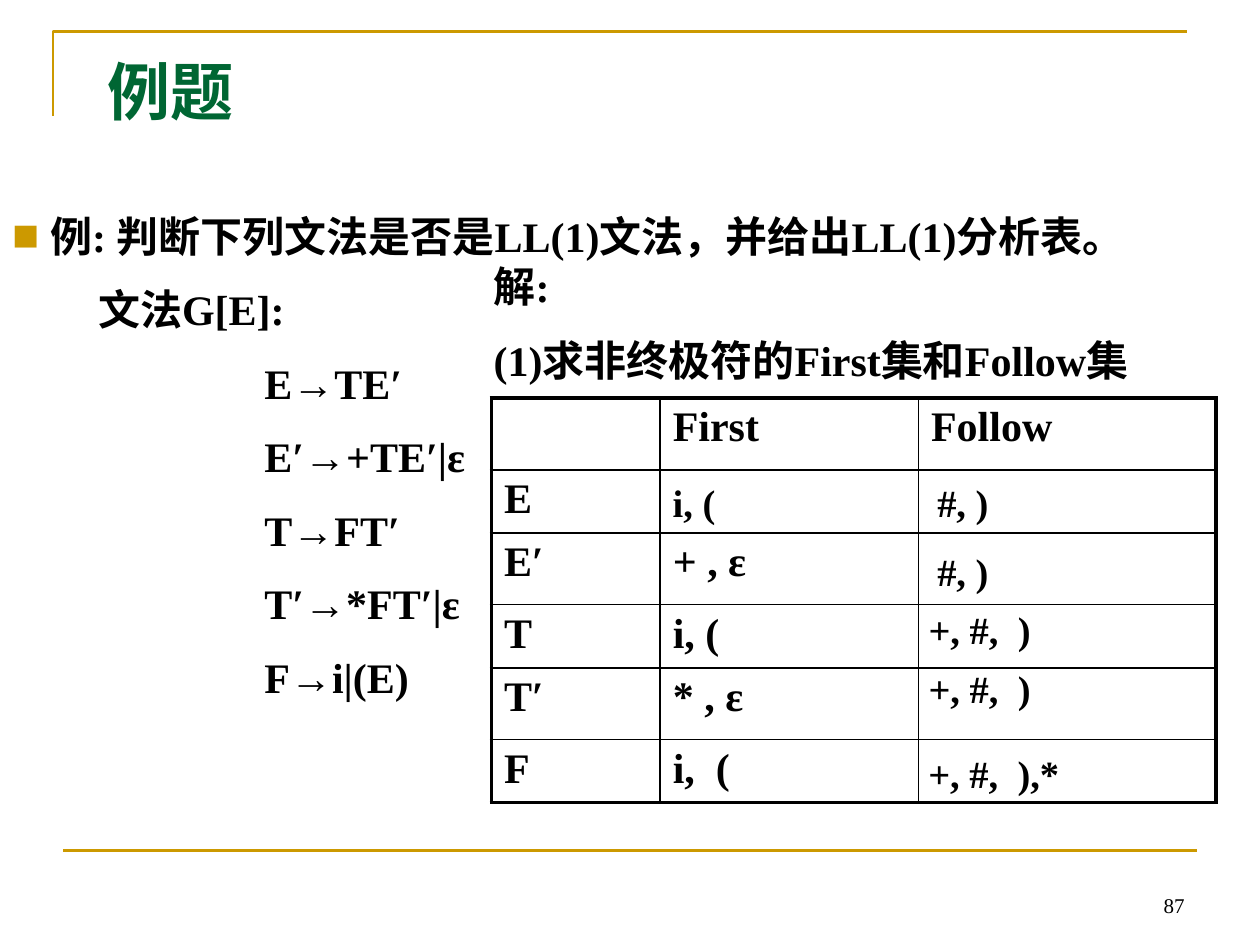
import pptx
import pptx.util
import pptx.dml.color
import pptx.enum.shapes
import pptx.enum.text
import pptx.oxml.ns
import lxml.etree

COLUMNS, ROWS = 100, 75
SLIDE_WIDTH, SLIDE_HEIGHT = pptx.util.Inches(10), pptx.util.Inches(7.5)
SERIF, HAN = "Times New Roman", "Noto Sans CJK SC"
GOLD, GREEN, BLACK = "CC9900", "006633", "000000"
NO_GRID_STYLE = "{2D5ABB26-0587-4C30-8999-92F81FD0307C}"
PARAGRAPH_GAP = 13.2
ANCHOR = pptx.enum.text.MSO_ANCHOR
ALIGN = pptx.enum.text.PP_ALIGN


def across(columns):
    """Turn grid columns into a length."""
    return round(SLIDE_WIDTH * columns / COLUMNS)


def down(rows):
    """Turn grid rows into a length."""
    return round(SLIDE_HEIGHT * rows / ROWS)


def measure(box):
    """Turn a box in grid units into left, top, width and height."""
    left, top, width, height = box
    return across(left), down(top), across(width), down(height)


def colour(value):
    """Make a colour from a hex string."""
    return pptx.dml.color.RGBColor.from_string(value)


def child(parent, tag, **attributes):
    """Append a drawing element to a parent."""
    element = lxml.etree.SubElement(parent, pptx.oxml.ns.qn(tag))
    for key, value in attributes.items():
        element.set(key, str(value))
    return element


def write(paragraph, text, size=24, shade=BLACK, bold=True, latin=SERIF):
    """Add one formatted run to a paragraph."""
    run = paragraph.add_run()
    run.text = text
    run.font.size = pptx.util.Pt(size)
    run.font.bold = bold
    run.font.color.rgb = colour(shade)
    run.font.name = latin
    child(run.font._element, "a:ea", typeface=HAN)


def add_text(slide, box, lines, size=24, bold=True, wrap=True, align=ALIGN.LEFT, anchor=ANCHOR.TOP):
    """Place a text box with one paragraph for each line and return its paragraphs."""
    frame = slide.shapes.add_textbox(*measure(box)).text_frame
    frame.word_wrap = wrap
    frame.vertical_anchor = anchor
    for index, line in enumerate(lines):
        paragraph = frame.add_paragraph() if index else frame.paragraphs[0]
        paragraph.alignment = align
        if index:
            paragraph.space_before = pptx.util.Pt(PARAGRAPH_GAP)
        write(paragraph, line, size, bold=bold)
    return frame.paragraphs


def border(cell, widths):
    """Draw the left, right, top and bottom edges of a cell."""
    properties = cell._tc.get_or_add_tcPr()
    for side, width in zip("LRTB", widths):
        edge = child(properties, f"a:ln{side}", w=int(pptx.util.Pt(width)))
        child(child(edge, "a:solidFill"), "a:srgbClr", val=BLACK)


def add_grid(slide, left, top, widths, heights, texts, size=24, ruled=False):
    """Place a plain table, with a heavy outline and thin inner rules if ruled."""
    box = measure((left, top, sum(widths), sum(heights)))
    table = slide.shapes.add_table(len(heights), len(widths), *box).table
    table.first_row = table.horz_banding = False
    table._tbl.tblPr.find(pptx.oxml.ns.qn("a:tableStyleId")).text = NO_GRID_STYLE
    for column, width in zip(table.columns, widths):
        column.width = across(width)
    for row, height in zip(table.rows, heights):
        row.height = down(height)
    last_row, last_column = len(heights) - 1, len(widths) - 1
    for r, row_texts in enumerate(texts):
        for c, text in enumerate(row_texts):
            cell = table.cell(r, c)
            if ruled:
                outer = (c == 0, c == last_column, r == 0, r == last_row)
                border(cell, [2.25 if edge else 1 for edge in outer])
            cell.fill.background()
            if text:
                write(cell.text_frame.paragraphs[0], text, size)


def draw_frame(slide, box):
    """Draw the gold corner above and the gold rule below."""
    left, top, width, height = box
    right = left + width
    outline = slide.shapes.build_freeform(across(left), down(top + 6.7))
    outline.add_line_segments(
        [(across(left), down(top)), (across(right), down(top))], close=False)
    corner = outline.convert_to_shape()
    corner.fill.background()
    corner.shadow.inherit = False
    rule = slide.shapes.add_connector(
        pptx.enum.shapes.MSO_CONNECTOR.STRAIGHT,
        across(left + 0.8), down(top + height), across(right + 0.8), down(top + height))
    for stroke in (corner, rule):
        stroke.line.color.rgb = colour(GOLD)
        stroke.line.width = pptx.util.Pt(1.5)
    child(rule._element.spPr, "a:effectLst")


def place_title(slide, box):
    """Move and format the title."""
    title = slide.shapes.title
    title.left, title.top, title.width, title.height = measure(box)
    title.text_frame.vertical_anchor = ANCHOR.MIDDLE
    paragraph = title.text_frame.paragraphs[0]
    paragraph.alignment = ALIGN.LEFT
    write(paragraph, "例题", 36, GREEN)


def place_grammar(slide, box):
    """Place the question and the rules of the grammar."""
    question, heading, *rules = add_text(slide, box, [
        "例: 判断下列文法是否是LL(1)文法，并给出LL(1)分析表。",
        "文法G[E]:", "E→TE′", "E′→+TE′|ε", "T→FT′", "T′→*FT′|ε", "F→i|(E)"])
    for paragraph, indent in [(question, 3), (heading, 6.8)] + [(rule, 20) for rule in rules]:
        paragraph._p.get_or_add_pPr().set("marL", str(across(indent)))
    properties = question._p.get_or_add_pPr()
    properties.set("indent", str(-across(3)))
    child(child(properties, "a:buClr"), "a:srgbClr", val=GOLD)
    child(properties, "a:buSzPct", val=65000)
    child(properties, "a:buFont", typeface=HAN)
    child(properties, "a:buChar", char="■")


def place_sets(slide, left, top):
    """Place the table of First and Follow sets with its entries."""
    widths = [13.4, 20.5, 23.6]
    heights = [5.7, 5] * 3
    first, follow = left + widths[0], left + sum(widths[:2])
    row_tops = [top + sum(heights[:index]) for index in range(len(heights))]
    headings = [["", "First", "Follow"]]
    symbols = [[symbol, "", ""] for symbol in ("E", "E′", "T", "T′", "F")]
    add_grid(slide, left, top, widths, heights, headings + symbols, ruled=True)
    add_grid(slide, first, row_tops[2], widths[1:2], heights[2:],
             [["+ , ε"], ["i, ("], ["* , ε"], ["i,  ("]])
    add_text(slide, (first, row_tops[1] + 0.2, 5.5, 4.7), ["i, ("], 22, wrap=False)
    for row, shift in ((1, 0.2), (2, 0.7)):
        add_text(slide, (follow + 0.5, row_tops[row] + shift, 6.1, 4.7), ["#, )"], 22, wrap=False)
    add_grid(slide, follow - 0.2, row_tops[3] - 0.1, widths[2:], [4.7, 5.7],
             [["+, #,  )"]] * 2, 22)
    add_text(slide, (follow - 0.2, row_tops[5] + 0.3, 18, 4.7), ["+, #,  ),*"], 22)


def main():
    """Build the slide and save it."""
    deck = pptx.Presentation()
    deck.slide_width, deck.slide_height = SLIDE_WIDTH, SLIDE_HEIGHT
    slide = deck.slides.add_slide(deck.slide_layouts[5])
    draw_frame(slide, (4.2, 2.5, 90, 65))
    add_text(slide, (71.7, 68.3, 23.3, 5), ["87"], 12, bold=False,
             align=ALIGN.RIGHT, anchor=ANCHOR.BOTTOM)
    place_grammar(slide, (0, 16.2, 98.8, 41.4))
    add_text(slide, (38.2, 20.2, 61.8, 11.1), ["解:", "(1)求非终极符的First集和Follow集"])
    place_sets(slide, 39, 31.6)
    place_title(slide, (7.5, 3.6, 85.8, 7.1))
    deck.save("out.pptx")


if __name__ == "__main__":
    main()
